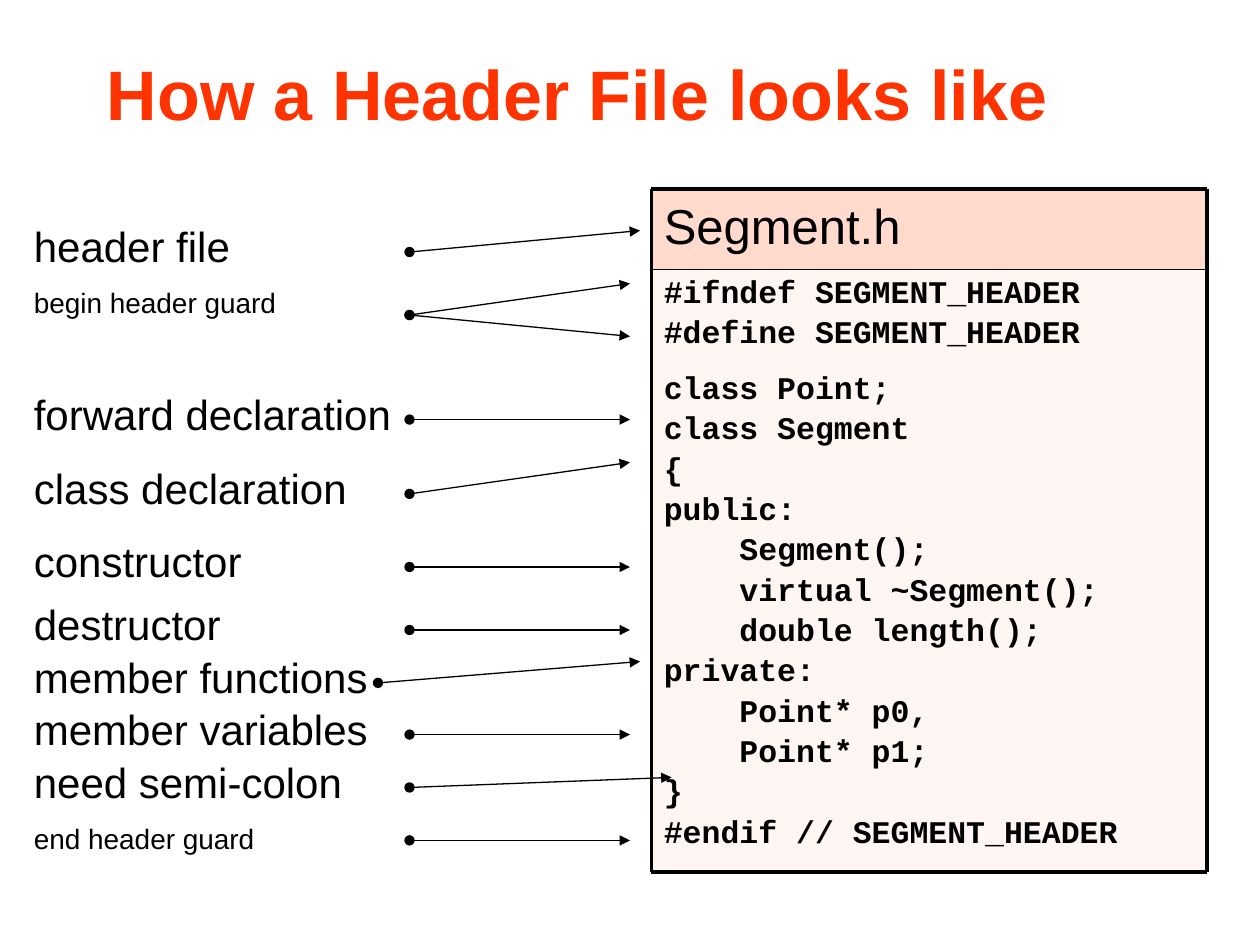
from lxml.etree import SubElement
from pptx import Presentation
from pptx.dml.color import RGBColor
from pptx.enum.shapes import MSO_CONNECTOR, MSO_SHAPE
from pptx.enum.text import MSO_ANCHOR, PP_ALIGN
from pptx.oxml.ns import qn
from pptx.util import Inches, Pt

BLACK = "000000"
LEFT, RIGHT = 5.17, 9.58
TOP, SPLIT, BASE = 1.5, 2.14, 6.92

CODE = """#ifndef SEGMENT_HEADER
#define SEGMENT_HEADER
class Point;
class Segment
{
public:
    Segment();
    virtual ~Segment();
    double length();
private:
    Point* p0,
    Point* p1;
}
#endif // SEGMENT_HEADER"""

# text, top, size, arrow start, arrow ends
LABELS = [
    ("header file", 1.75, 24, (3.25, 2), [(5.08, 1.83)]),
    ("begin header guard", 2.25, 16, (3.25, 2.5), [(5, 2.25), (5, 2.67)]),
    ("forward declaration", 3.08, 24, (3.25, 3.33), [(5, 3.33)]),
    ("class declaration", 3.67, 24, (3.25, 3.92), [(5, 3.67)]),
    ("constructor", 4.25, 24, (3.25, 4.5), [(5, 4.5)]),
    ("destructor", 4.75, 24, (3.25, 5), [(5, 5)]),
    ("member functions", 5.17, 24, (3, 5.42), [(5.08, 5.25)]),
    ("member variables", 5.58, 24, (3.25, 5.83), [(5, 5.83)]),
    ("need semi-colon", 6, 24, (3.25, 6.25), [(5.33, 6.17)]),
    ("end header guard", 6.5, 16, (3.25, 6.67), [(5, 6.67)]),
]


def color(code):
    return RGBColor.from_string(code)


def put_text(shape, text, size, font="Arial", ink=BLACK, bold=False,
             anchor=MSO_ANCHOR.TOP, pitch=1, gap=0, breaks=()):
    """Write lines of text; the lines listed in breaks get more space before."""
    frame = shape.text_frame
    frame.word_wrap = True
    frame.vertical_anchor = anchor
    for i, line in enumerate(text.split("\n")):
        para = frame.paragraphs[0] if i == 0 else frame.add_paragraph()
        para.alignment = PP_ALIGN.LEFT
        para.line_spacing = pitch
        if i:
            para.space_before = Pt(gap + (9 if line in breaks else 0))
        run = para.add_run()
        run.text = line
        run.font.name = font
        run.font.size = Pt(size)
        run.font.bold = bold
        run.font.color.rgb = color(ink)


def add_label(slide, text, left, top, width, height, size, **style):
    box = slide.shapes.add_textbox(Inches(left), Inches(top), Inches(width), Inches(height))
    put_text(box, text, size, **style)


def add_panel(slide, top, end, fill, text, size, **style):
    panel = slide.shapes.add_shape(MSO_SHAPE.RECTANGLE, Inches(LEFT), Inches(top),
                                   Inches(RIGHT - LEFT), Inches(end - top))
    panel.shadow.inherit = False
    panel.fill.solid()
    panel.fill.fore_color.rgb = color(fill)
    panel.line.fill.background()
    put_text(panel, text, size, **style)


def add_line(slide, start, end, width, arrow=False):
    line = slide.shapes.add_connector(MSO_CONNECTOR.STRAIGHT,
                                      *map(Inches, (*start, *end)))
    line.line.color.rgb = color(BLACK)
    line.line.width = Pt(width)
    props = line._element.spPr
    if arrow:
        stroke = props.find(qn("a:ln"))
        SubElement(stroke, qn("a:headEnd"), type="oval")
        SubElement(stroke, qn("a:tailEnd"), type="triangle")
    SubElement(props, qn("a:effectLst"))


def add_frame(slide):
    for y, width in ((TOP, 2), (SPLIT, 1), (BASE, 2)):
        add_line(slide, (LEFT, y), (RIGHT, y), width)
    for x in (LEFT, RIGHT):
        add_line(slide, (x, TOP), (x, BASE), 2)


def main():
    deck = Presentation()
    deck.slide_width, deck.slide_height = Inches(10), Inches(7.5)
    slide = deck.slides.add_slide(deck.slide_layouts[6])

    add_label(slide, "How a Header File looks like", 0.75, 0.38, 8.5, 0.71, 40,
              ink="FF3300", bold=True, anchor=MSO_ANCHOR.MIDDLE)
    add_panel(slide, SPLIT, BASE, "FFF6F3", CODE, 18, font="Courier New", bold=True,
              pitch=0.9, gap=3.6, breaks=("class Point;",))
    add_panel(slide, TOP, SPLIT, "FFDACD", "Segment.h", 28)
    add_frame(slide)
    for text, top, size, start, ends in LABELS:
        add_label(slide, text, 0.17, top, 3.42, 0.5, size, pitch=0.9)
        for end in ends:
            add_line(slide, start, end, 0.75, arrow=True)
    deck.save("out.pptx")


if __name__ == "__main__":
    main()
